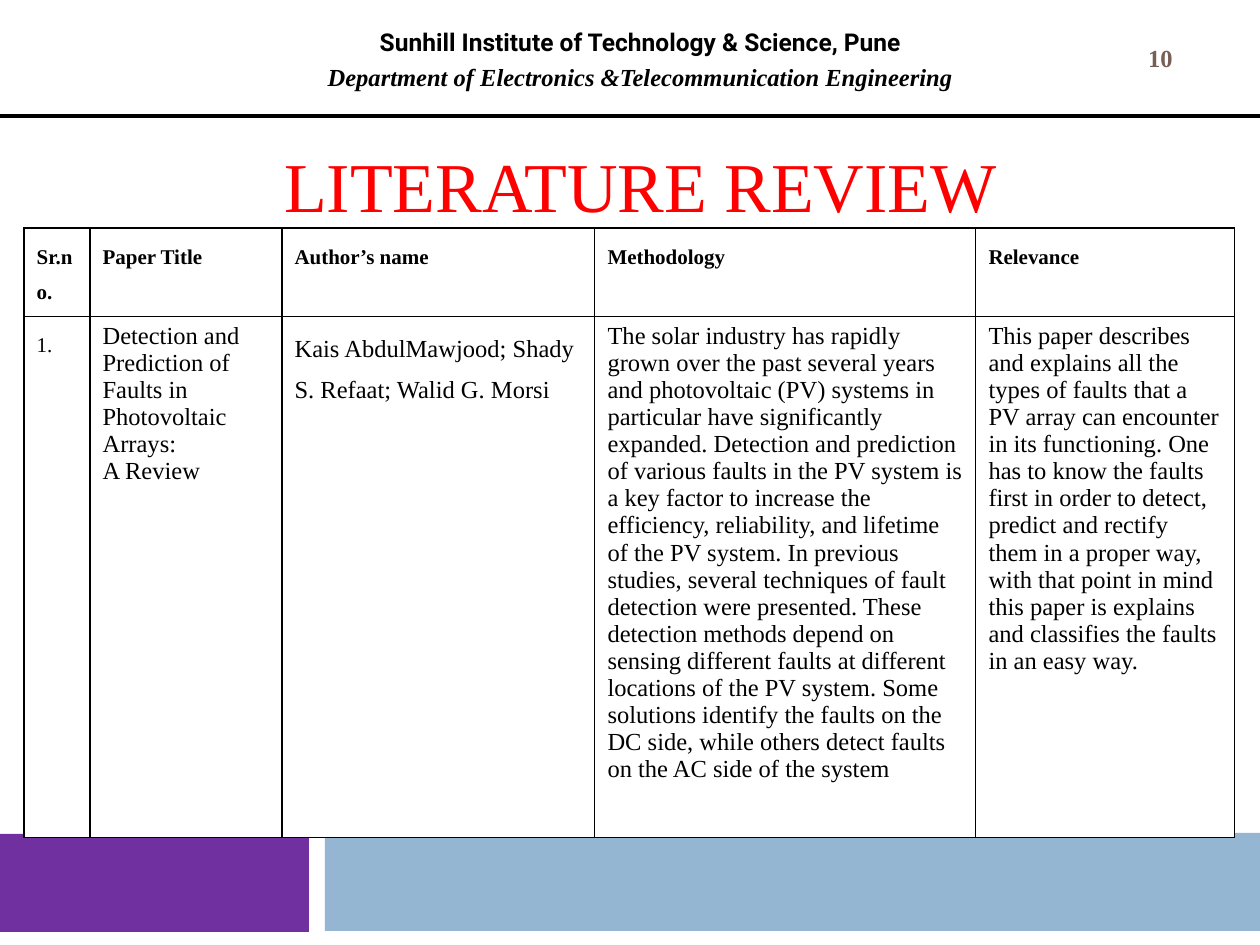
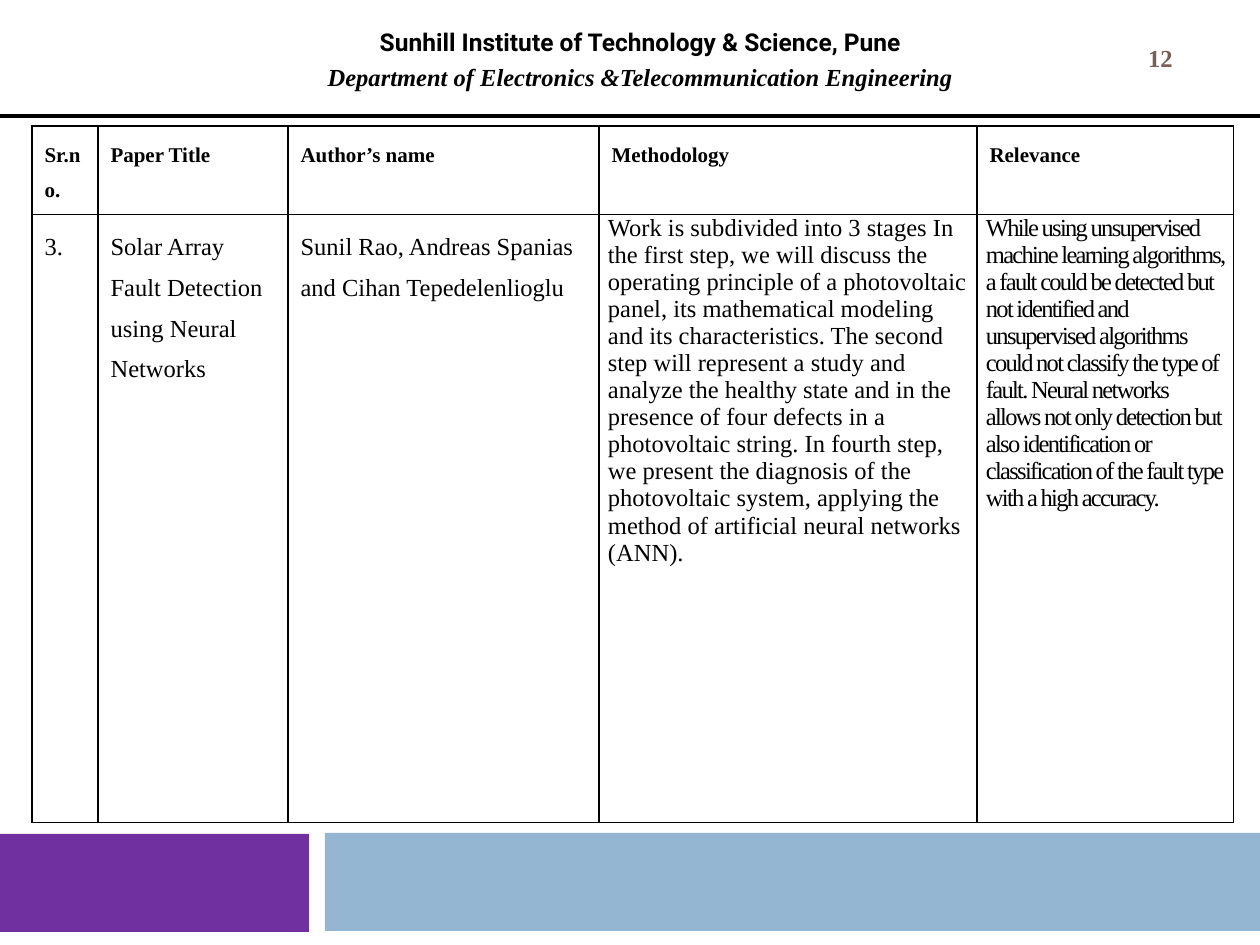
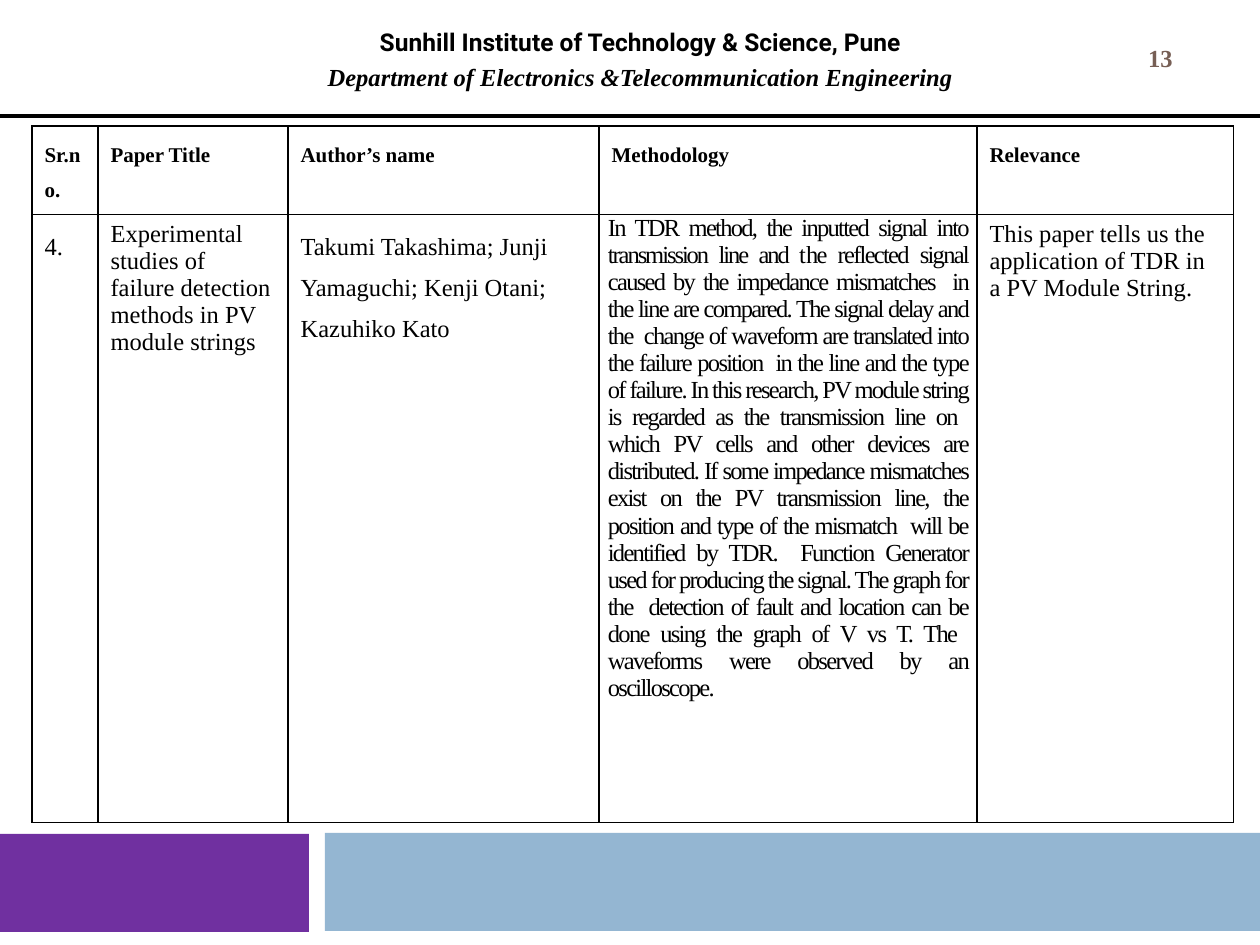
from dataclasses import dataclass

from lxml import etree
from pptx import Presentation
from pptx.dml.color import RGBColor
from pptx.enum.shapes import MSO_CONNECTOR, MSO_SHAPE
from pptx.enum.text import MSO_ANCHOR, PP_ALIGN
from pptx.oxml.ns import qn
from pptx.util import Emu, Pt

STRAIGHT = MSO_CONNECTOR.STRAIGHT
RECTANGLE = MSO_SHAPE.RECTANGLE
TOP, MIDDLE = MSO_ANCHOR.TOP, MSO_ANCHOR.MIDDLE
LEFT, CENTER, JUSTIFY = PP_ALIGN.LEFT, PP_ALIGN.CENTER, PP_ALIGN.JUSTIFY

BLACK = RGBColor(0x00, 0x00, 0x00)
WHITE = RGBColor(0xFF, 0xFF, 0xFF)
RED = RGBColor(0xFF, 0x00, 0x00)
PURPLE = RGBColor(0x70, 0x30, 0xA0)
BLUE = RGBColor(0x94, 0xB6, 0xD2)
BROWN = RGBColor(0x77, 0x5F, 0x55)

SERIF, SANS = "Times New Roman", "Roboto"
PX_PER_INCH = 126
PAGE_WIDTH, PAGE_HEIGHT = 1260, 945
SNUG_MARGIN = 9

INSTITUTE = "Sunhill Institute of Technology & Science, Pune"
DEPARTMENT = "Department of Electronics &Telecommunication Engineering"
HEADINGS = ["Sr.no.", "Paper Title", "Author’s name", "Methodology", "Relevance"]


@dataclass
class Entry:
    """Content of one table cell; each paragraph is a list of (text, tracking)."""
    paragraphs: list
    size: int = 14
    bold: bool = False
    spacing: float = 1.0
    align: PP_ALIGN = LEFT
    snug: bool = False


@dataclass
class Grid:
    left: int
    top: int
    columns: list
    rows: list


TITLED_GRID = Grid(24, 228, [66, 192, 313, 381, 259], [77, 521])
FULL_GRID = Grid(32, 126, [66, 190, 311, 378, 257], [82, 608])


def px(length):
    return Emu(round(length * 914400 / PX_PER_INCH))


def plain(*texts, **style):
    return Entry([[(text, 0)] for text in texts], **style)


def spaced(text, **style):
    return plain(text, spacing=1.5, **style)


# Text
def add_span(para, text, size, color=BLACK, font=SERIF, bold=False, italic=False,
             tracking=0):
    for index, line in enumerate(text.split("\n")):
        if index:
            para.add_line_break()
        span = para.add_run()
        span.text = line
        span.font.size = Pt(size)
        span.font.name = font
        span.font.bold = bold
        span.font.italic = italic
        span.font.color.rgb = color
        if tracking:
            span.font._element.set("spc", str(round(tracking * 100)))


def add_text_box(page, left, top, width, height, anchor=MIDDLE):
    box = page.shapes.add_textbox(px(left), px(top), px(width), px(height))
    frame = box.text_frame
    frame.word_wrap = True
    frame.vertical_anchor = anchor
    frame.paragraphs[0].alignment = CENTER
    return frame


# Parts shared by all pages
def add_band(page, left, top, width, height, color):
    band = page.shapes.add_shape(RECTANGLE, px(left), px(top), px(width), px(height))
    band.shadow.inherit = False
    band.fill.solid()
    band.fill.fore_color.rgb = color
    band.line.fill.background()


def add_rule(page, top):
    rule = page.shapes.add_connector(STRAIGHT, 0, px(top), px(PAGE_WIDTH), px(top))
    rule.line.color.rgb = BLACK
    rule.line.width = Pt(1.75)
    etree.SubElement(rule._element.spPr, qn("a:effectLst"))


def add_page(deck, number):
    page = deck.slides.add_slide(deck.slide_layouts[6])
    page.background.fill.solid()
    page.background.fill.fore_color.rgb = WHITE
    add_band(page, -1, 834, 310, 98, PURPLE)
    add_band(page, 325, 833, 935, 98, BLUE)

    header = add_text_box(page, 105, 21, 1071, 84, TOP)
    add_span(header.paragraphs[0], INSTITUTE, 14, font=SANS, bold=True)
    para = header.add_paragraph()
    para.alignment = CENTER
    para.space_before = Pt(3)
    add_span(para, DEPARTMENT, 14, bold=True, italic=True)
    add_rule(page, 116)

    frame = add_text_box(page, 1103, 32, 115, 52)
    add_span(frame.paragraphs[0], str(number), 14, BROWN, bold=True)
    return page


def add_title(page, text):
    frame = add_text_box(page, 105, 83, 1071, 203)
    add_span(frame.paragraphs[0], text, 40, RED)


# Review table
def set_borders(cell):
    properties = cell._tc.get_or_add_tcPr()
    for side in ("lnL", "lnR", "lnT", "lnB"):
        border = etree.SubElement(properties, qn(f"a:{side}"), w=str(Pt(0.75)))
        fill = etree.SubElement(border, qn("a:solidFill"))
        etree.SubElement(fill, qn("a:srgbClr"), val=str(BLACK))


def fill_cell(cell, entry):
    set_borders(cell)
    cell.fill.solid()
    cell.fill.fore_color.rgb = WHITE
    if entry.snug:
        cell.margin_left = cell.margin_right = px(SNUG_MARGIN)
        cell.margin_top = cell.margin_bottom = 0
    frame = cell.text_frame
    for index, spans in enumerate(entry.paragraphs):
        para = frame.add_paragraph() if index else frame.paragraphs[0]
        para.alignment = entry.align
        para.line_spacing = entry.spacing
        for text, tracking in spans:
            add_span(para, text, entry.size, bold=entry.bold, tracking=tracking)


def add_review_table(page, grid, entries):
    table = page.shapes.add_table(
        len(grid.rows), len(grid.columns), px(grid.left), px(grid.top),
        px(sum(grid.columns)), px(sum(grid.rows))).table
    table.first_row = table.horz_banding = False
    for column, width in zip(table.columns, grid.columns):
        column.width = px(width)
    for row, height in zip(table.rows, grid.rows):
        row.height = px(height)
    headings = [spaced(heading, size=12, bold=True) for heading in HEADINGS]
    for row, row_entries in zip(table.rows, (headings, entries)):
        for cell, entry in zip(row.cells, row_entries):
            fill_cell(cell, entry)


# Reviewed papers
FAULT_REVIEW = [
    spaced("1.", size=12),
    plain("Detection and Prediction of Faults in Photovoltaic Arrays:", "A Review"),
    spaced("Kais AbdulMawjood; Shady S. Refaat; Walid G. Morsi"),
    plain("The solar industry has rapidly grown over the past several years and "
          "photovoltaic (PV) systems in particular have significantly expanded. "
          "Detection and prediction of various faults in the PV system is a key factor "
          "to increase the efficiency, reliability, and lifetime of the PV system. In "
          "previous studies, several techniques of fault detection were presented. "
          "These detection methods depend on sensing different faults at different "
          "locations of the PV system. Some solutions identify the faults on the DC "
          "side, while others detect faults on the AC side of the system"),
    plain("This paper describes and explains all the types of faults that a PV array "
          "can encounter in its functioning. One has to know the faults first in order "
          "to detect, predict and rectify them in a proper way, with that point in mind "
          "this paper is explains and classifies the faults in an easy way."),
]

NEURAL_NETWORKS = [
    spaced("3."),
    spaced("Solar Array Fault Detection using Neural Networks"),
    spaced("Sunil Rao, Andreas Spanias and Cihan Tepedelenlioglu"),
    plain("Work is subdivided into 3 stages In the first step, we will discuss the "
          "operating principle of a photovoltaic panel, its mathematical modeling and "
          "its characteristics. The second step will represent a study and analyze the "
          "healthy state and in the presence of four defects in a photovoltaic string. "
          "In fourth step, we present the diagnosis of the photovoltaic system, "
          "applying the method of artificial neural networks (ANN).", snug=True),
    Entry([[("While using unsupervised machine learning algorithms, a fault could be "
             "detected but not identified and unsupervised algorithms could not "
             "classify the type of fault. Neural networks allows not only detection "
             "but also identification or classification of the fault type with a high "
             "accuracy.", -1)]], snug=True),
]

MODULE_STRINGS = [
    spaced("4."),
    plain("Experimental studies of \nfailure detection methods in PV module strings"),
    spaced("Takumi Takashima; Junji Yamaguchi; Kenji Otani; Kazuhiko Kato"),
    Entry([[("In TDR method, the inputted signal into ", -1),
            ("transmission line and t", -1.2),
            ("he reflected signal caused by the impedance mismatches  in the line are "
             "compared. The signal delay and the  change of waveform are translated "
             "into the failure position  in the line and the type of failure. In this "
             "research, PV module string is regarded as the transmission line on  which "
             "PV cells and other devices are distributed. If some impedance mismatches "
             "exist on the PV transmission line, the position and type of the mismatch  "
             "will be identified by TDR.  Function Generator used for producing the "
             "signal. The graph for the  detection of fault and location can be done "
             "using the graph of V vs T. The  waveforms were observed by an "
             "oscilloscope.", -1)]], align=JUSTIFY, snug=True),
    plain("This paper tells us the application of TDR in a PV Module String."),
]


def main():
    deck = Presentation()
    deck.slide_width, deck.slide_height = px(PAGE_WIDTH), px(PAGE_HEIGHT)

    page = add_page(deck, 10)
    add_title(page, "LITERATURE REVIEW")
    add_review_table(page, TITLED_GRID, FAULT_REVIEW)

    for number, entries in ((12, NEURAL_NETWORKS), (13, MODULE_STRINGS)):
        add_review_table(add_page(deck, number), FULL_GRID, entries)

    deck.save("out.pptx")


if __name__ == "__main__":
    main()
